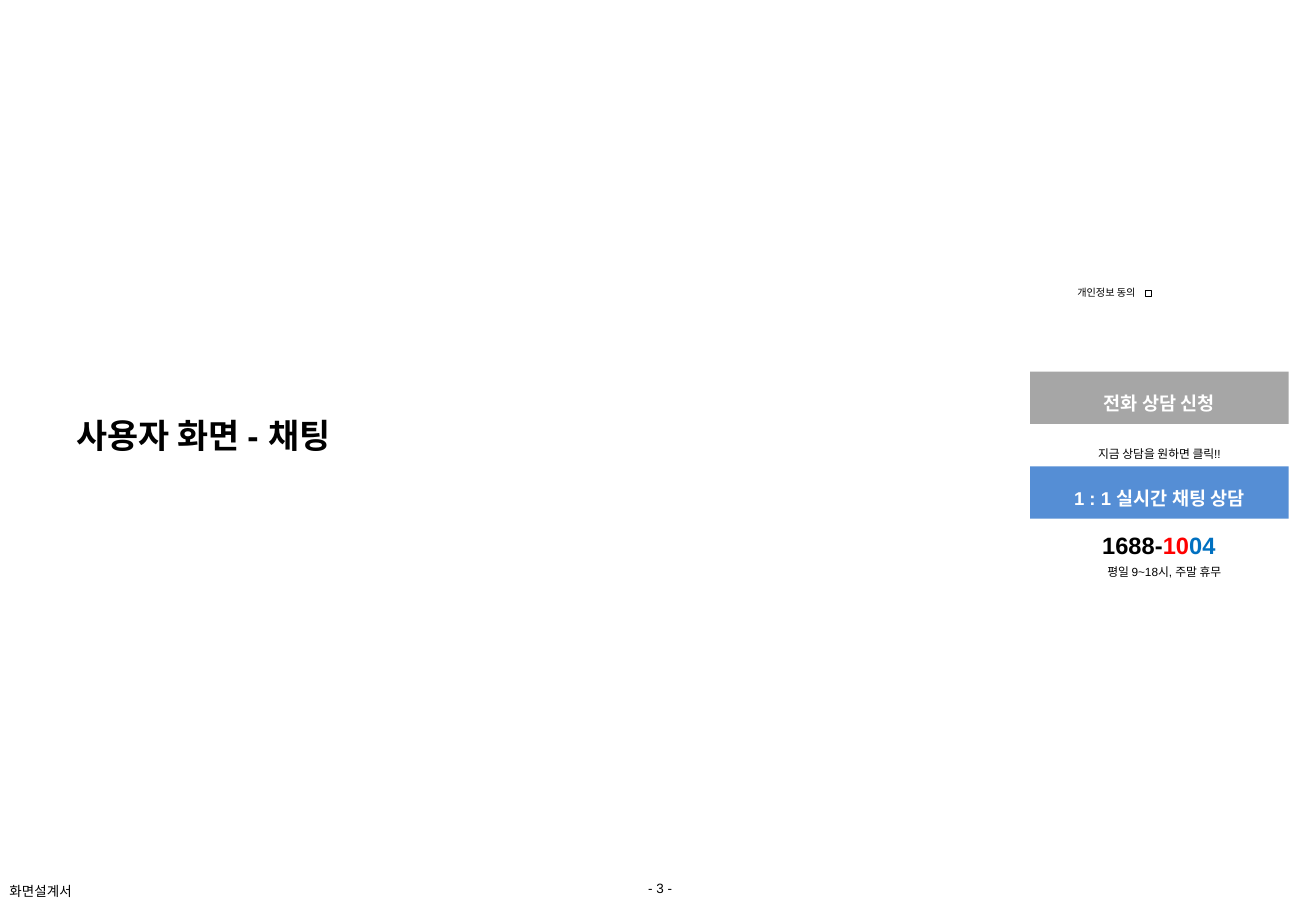
"""Build the chat section slide of a screen design document."""
from dataclasses import dataclass

from pptx import Presentation
from pptx import util as u
from pptx.dml.color import RGBColor
from pptx.enum import shapes, text

BLACK = RGBColor(0x00, 0x00, 0x00)
WHITE = RGBColor(0xFF, 0xFF, 0xFF)
GRAY = RGBColor(0xA6, 0xA6, 0xA6)
BLUE = RGBColor(0x55, 0x8E, 0xD5)
RED = RGBColor(0xFF, 0x00, 0x00)
NAVY = RGBColor(0x00, 0x70, 0xC0)

LEFT = text.PP_ALIGN.LEFT
CENTER = text.PP_ALIGN.CENTER
MIDDLE = text.MSO_ANCHOR.MIDDLE
NO_FIT = text.MSO_AUTO_SIZE.NONE
GROW = text.MSO_AUTO_SIZE.SHAPE_TO_FIT_TEXT


@dataclass(frozen=True)
class Label:
    at: tuple[float, float, float, float]
    runs: tuple[tuple[str, RGBColor], ...]
    size: float
    bold: bool = False
    align: text.PP_ALIGN = CENTER
    wrap: bool = True


@dataclass(frozen=True)
class Button:
    top: float
    words: str
    fill: RGBColor


LABELS = (
    Label((372.96, 518.4, 36.72, 16.56), (("- 3 -", BLACK),), 8, wrap=False),
    Label((-1.44, 519.84, 54.72, 17.28), (("화면설계서", BLACK),), 8, align=LEFT, wrap=False),
    Label((619.92, 261.36, 134.64, 15.84), (("지금 상담을 원하면 클릭!!", BLACK),), 7),
    Label((641.52, 311.04, 90.72, 24.48),
          (("1688-", BLACK), ("10", RED), ("04", NAVY)), 14, bold=True),
    Label((622.8, 331.2, 134.64, 15.84), (("평일 9~18시, 주말 휴무", BLACK),), 7),
    Label((631.44, 166.32, 68.4, 14.4), (("개인정보 동의", BLACK),), 6, align=LEFT),
)
BUTTONS = (
    Button(220.32, "전화 상담 신청", GRAY),
    Button(276.48, "1 : 1 실시간 채팅 상담", BLUE),
)


def style(item: object, form: dict[str, object]) -> None:
    """Set each named value on the item."""
    for name, value in form.items():
        setattr(item, name, value)


def write(frame, runs: tuple[tuple[str, RGBColor], ...], size: float,
          bold: bool, align: text.PP_ALIGN) -> None:
    """Write coloured runs into the first line of a frame."""
    line = frame.paragraphs[0]
    line.alignment = align
    for words, color in runs:
        run = line.add_run()
        run.text = words
        style(run.font, {"name": "Arial", "size": u.Pt(size), "bold": bold})
        run.font.color.rgb = color


def add_title(slide) -> None:
    """Place and format the title."""
    title = slide.shapes.title
    style(title, {"left": u.Pt(38.16), "top": u.Pt(239.04),
                  "width": u.Pt(595.44), "height": u.Pt(37.44)})
    style(title.text_frame, {"word_wrap": True, "auto_size": NO_FIT,
                             "vertical_anchor": MIDDLE})
    write(title.text_frame, (("사용자 화면 - 채팅", BLACK),), 20, True, LEFT)


def add_label(slide, label: Label) -> None:
    """Draw one text label."""
    frame = slide.shapes.add_textbox(*map(u.Pt, label.at)).text_frame
    style(frame, {"word_wrap": label.wrap, "auto_size": GROW})
    write(frame, label.runs, label.size, label.bold, label.align)


def add_box(slide, left: float, top: float, width: float, height: float):
    """Draw a rectangle with no shadow."""
    box = slide.shapes.add_shape(
        shapes.MSO_SHAPE.RECTANGLE, *map(u.Pt, (left, top, width, height)))
    box.shadow.inherit = False
    return box


def add_button(slide, button: Button) -> None:
    """Draw one filled button."""
    box = add_box(slide, 610.56, button.top, 153.36, 30.96)
    box.fill.solid()
    box.fill.fore_color.rgb = button.fill
    box.line.fill.background()
    style(box.text_frame, {"word_wrap": True, "vertical_anchor": MIDDLE})
    write(box.text_frame, ((button.words, WHITE),), 11, True, CENTER)
    box.text_frame.paragraphs[0].line_spacing = 1.5


def add_check(slide) -> None:
    """Draw the empty consent check box."""
    box = add_box(slide, 678.96, 172.08, 3.6, 3.6)
    box.fill.background()
    box.line.color.rgb = BLACK
    box.line.width = u.Pt(0.25)


def main() -> None:
    """Build and save the deck."""
    deck = Presentation()
    style(deck, {"slide_width": u.Pt(780), "slide_height": u.Pt(540)})
    slide = deck.slides.add_slide(deck.slide_layouts.get_by_name("Title Only"))
    add_title(slide)
    for button in BUTTONS:
        add_button(slide, button)
    for label in LABELS:
        add_label(slide, label)
    add_check(slide)
    deck.save("out.pptx")


if __name__ == "__main__":
    main()
